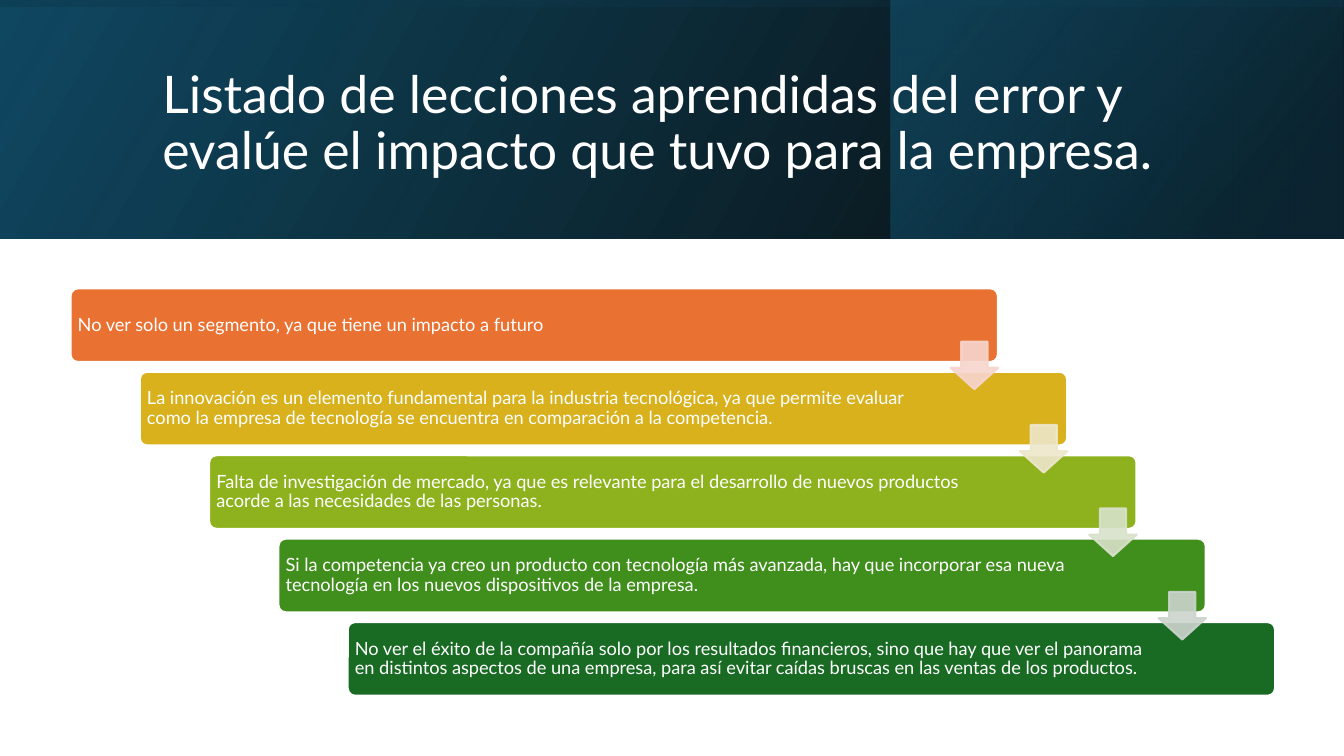
"""Build a slide with a banner title and a cascade of five lessons."""
from dataclasses import dataclass

from lxml.etree import SubElement
from pptx import Presentation
from pptx.dml.color import RGBColor
from pptx.enum.shapes import MSO_SHAPE
from pptx.enum.text import MSO_ANCHOR, MSO_AUTO_SIZE, PP_ALIGN
from pptx.oxml.ns import qn
from pptx.shapes.autoshape import Shape
from pptx.text.text import TextFrame
from pptx.util import Pt

FONT = "Lato"
WHITE = "FFFFFF"
WIDE, TALL, BAND = 960, 540, 170.64
LEFT, TOP = 50.4, 206
STEP_X, STEP_Y = 49.5, 59.6
BAR_W, BAR_H = 662.4, 52.6
ARROW = 34
ARROW_X, ARROW_Y = 628.6, 38


@dataclass
class Stop:
    """One end of a gradient."""
    place: float
    color: str
    alpha: int = 100


@dataclass
class Layer:
    """One gradient sheet of the banner."""
    box: tuple[float, float, float, float]
    angle: float
    stops: tuple[Stop, Stop]
    turn: float = 0


@dataclass
class Lesson:
    """One bar of the cascade and the arrow that leaves it."""
    text: str
    color: str
    arrow: str = ""


LAYERS = [
    Layer((0, 0, WIDE, BAND), 30, (Stop(0, "000000", 96), Stop(1, "104862"))),
    Layer((636.48, 0, 322.9, BAND), 40,
          (Stop(0.19, "0B3041", 68), Stop(1, "156082", 48))),
    Layer(((WIDE - BAND) / 2, (BAND - WIDE) / 2, BAND, WIDE), 10,
          (Stop(0.23, "104862", 16), Stop(0.99, "000000", 45)), 270),
]

TITLE = ("Listado de lecciones aprendidas del error y evalúe el impacto "
         "que tuvo para la empresa.")

LESSONS = [
    Lesson("No ver solo un segmento, ya que tiene un impacto a futuro",
           "E97132", "F7D5CE"),
    Lesson("La innovación es un elemento fundamental para la industria "
           "tecnológica, ya que permite evaluar como la empresa de tecnología "
           "se encuentra en comparación a la competencia.",
           "D8B11D", "EEE7CB"),
    Lesson("Falta de investigación de mercado, ya que es relevante para el "
           "desarrollo de nuevos productos acorde a las necesidades de las "
           "personas.",
           "8EB21E", "D8E2CA"),
    Lesson("Si la competencia ya creo un producto con tecnología más avanzada, "
           "hay que incorporar esa nueva tecnología en los nuevos dispositivos "
           "de la empresa.",
           "408E1C", "CCD4CD"),
    Lesson("No ver el éxito de la compañía solo por los resultados "
           "financieros, sino que hay que ver el panorama en distintos "
           "aspectos de una empresa, para así evitar caídas bruscas en las "
           "ventas de los productos.",
           "196B24"),
]


def hue(code: str) -> RGBColor:
    """Turn a hex string into a colour."""
    return RGBColor.from_string(code)


def fade(shape: Shape, *alphas: int) -> None:
    """Give the colours of a shape, in order, their opacity in percent."""
    colors = list(shape.element.spPr.iter(qn("a:srgbClr")))
    for color, alpha in zip(colors, alphas):
        SubElement(color, qn("a:alpha")).set("val", str(alpha * 1000))


def write(frame: TextFrame, text: str, size: float) -> None:
    """Write one white, left-aligned paragraph, centred in height."""
    frame.word_wrap = True
    frame.auto_size = MSO_AUTO_SIZE.NONE
    frame.vertical_anchor = MSO_ANCHOR.MIDDLE
    para = frame.paragraphs[0]
    para.alignment = PP_ALIGN.LEFT
    para.line_spacing = 0.9
    run = para.add_run()
    run.text = text
    run.font.name = FONT
    run.font.size = Pt(size)
    run.font.color.rgb = hue(WHITE)


def add_layer(shapes, layer: Layer) -> None:
    """Draw one mirrored gradient sheet."""
    sheet = shapes.add_shape(MSO_SHAPE.RECTANGLE, *map(Pt, layer.box))
    sheet.shadow.inherit = False
    sheet.rotation = layer.turn
    sheet.element.spPr.get_or_add_xfrm().set("flipH", "1")
    sheet.line.fill.background()
    sheet.fill.gradient()
    sheet.fill.gradient_angle = layer.angle
    for mark, stop in zip(sheet.fill.gradient_stops, layer.stops):
        mark.position = stop.place
        mark.color.rgb = hue(stop.color)
    fade(sheet, *(stop.alpha for stop in layer.stops))


def add_solid(shapes, kind: MSO_SHAPE, box: tuple[float, float, float, float],
              fill: str, line: str, bends: tuple[float, ...]) -> Shape:
    """Draw a preset shape with a plain fill and outline."""
    shape = shapes.add_shape(kind, *map(Pt, box))
    shape.shadow.inherit = False
    shape.fill.solid()
    shape.fill.fore_color.rgb = hue(fill)
    shape.line.color.rgb = hue(line)
    shape.line.width = Pt(1.5)
    for spot, bend in enumerate(bends):
        shape.adjustments[spot] = bend
    return shape


def add_bar(shapes, rank: int, lesson: Lesson) -> None:
    """Draw the bar of a lesson with its text."""
    box = (LEFT + rank * STEP_X, TOP + rank * STEP_Y, BAR_W, BAR_H)
    bar = add_solid(shapes, MSO_SHAPE.ROUNDED_RECTANGLE, box,
                    lesson.color, WHITE, (0.1,))
    frame = bar.text_frame
    frame.margin_left = frame.margin_top = frame.margin_bottom = Pt(3.6)
    frame.margin_right = Pt(87)
    write(frame, lesson.text, 13)


def add_arrow(shapes, rank: int, lesson: Lesson) -> None:
    """Draw the arrow from one bar to the next."""
    box = (LEFT + rank * STEP_X + ARROW_X, TOP + rank * STEP_Y + ARROW_Y,
           ARROW, ARROW)
    arrow = add_solid(shapes, MSO_SHAPE.DOWN_ARROW, box,
                      lesson.arrow, lesson.arrow, (0.55, 0.45))
    fade(arrow, 90, 90)


def main() -> None:
    """Build and save the slide."""
    deck = Presentation()
    deck.slide_width, deck.slide_height = Pt(WIDE), Pt(TALL)
    slide = deck.slides.add_slide(deck.slide_layouts[5])
    for layer in LAYERS:
        add_layer(slide.shapes, layer)

    title = slide.shapes.title
    title.left, title.top = Pt(108.7), Pt(27.4)
    title.width, title.height = Pt(765.4), Pt(123.8)
    write(title.text_frame, TITLE, 37)
    title.element.getparent().append(title.element)

    group = slide.shapes.add_group_shape()
    for rank, lesson in enumerate(LESSONS):
        add_bar(group.shapes, rank, lesson)
    for rank, lesson in enumerate(LESSONS[:-1]):
        add_arrow(group.shapes, rank, lesson)
    deck.save("out.pptx")


if __name__ == "__main__":
    main()
